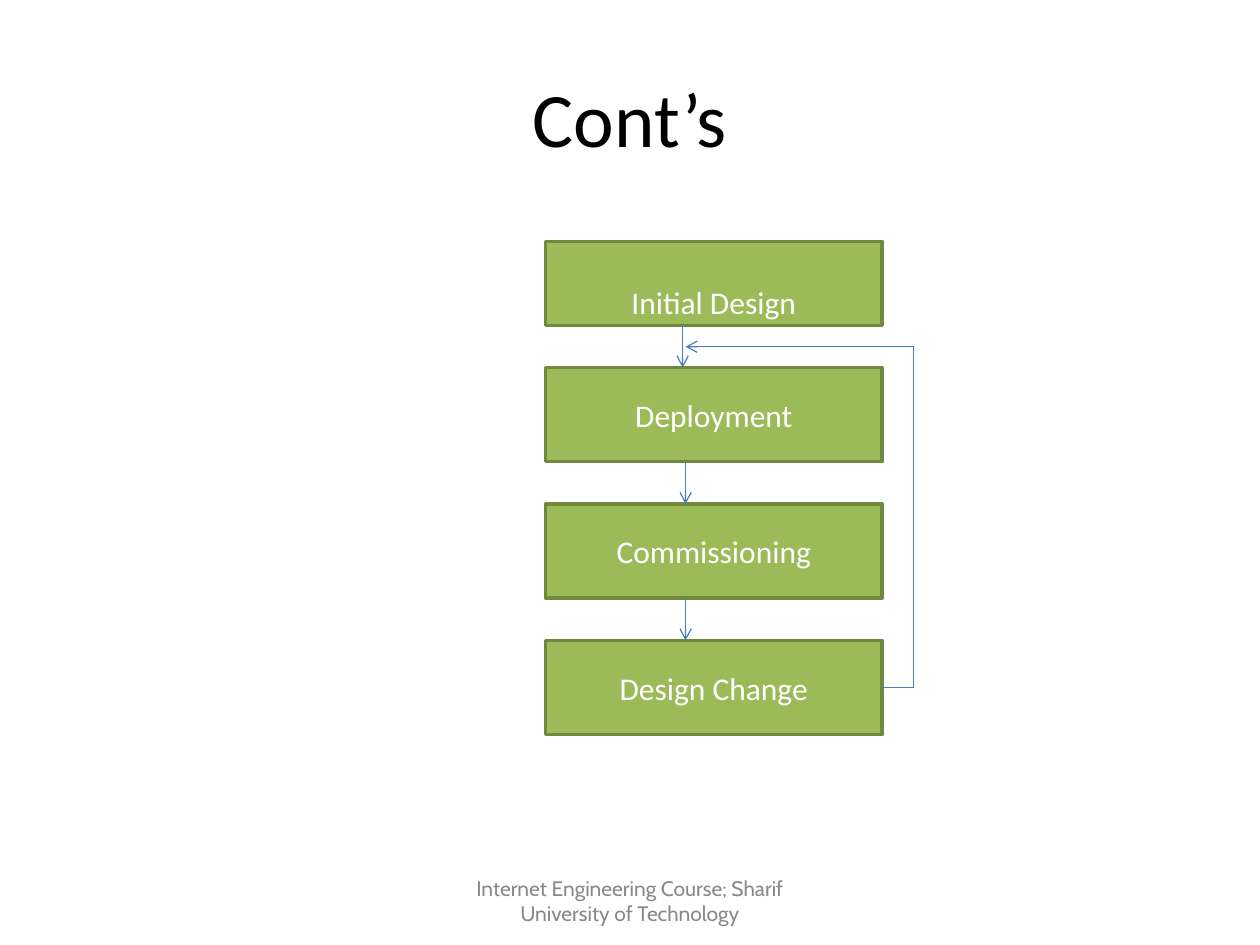
from dataclasses import dataclass

from lxml import etree
from pptx import Presentation
from pptx.dml.color import RGBColor
from pptx.enum.shapes import MSO_CONNECTOR, MSO_SHAPE
from pptx.enum.text import MSO_ANCHOR, PP_ALIGN
from pptx.oxml.ns import qn
from pptx.util import Cm, Pt

RECT = MSO_SHAPE.RECTANGLE
STRAIGHT = MSO_CONNECTOR.STRAIGHT
MIDDLE = MSO_ANCHOR.MIDDLE
CENTER = PP_ALIGN.CENTER
RIGHT_SIDE = 3


@dataclass(frozen=True)
class Theme:
    black: str = "000000"
    white: str = "FFFFFF"
    grey: str = "898989"
    green: str = "9BBB59"
    edge: str = "71893F"
    blue: str = "4A7EBB"
    body: str = "Calibri"
    small: str = "Cabin"
    title_size: float = 44
    step_size: float = 18
    foot_size: float = 12
    edge_width: float = 2
    line_width: float = 0.75


@dataclass(frozen=True)
class Label:
    text: str
    left: float
    top: float
    width: float
    height: float
    font: str
    size: float
    color: str


@dataclass(frozen=True)
class Step:
    text: str
    top: float
    height: float
    inset_top: float = 0.13
    inset_base: float = 0.13


@dataclass(frozen=True)
class Line:
    x1: float
    y1: float
    x2: float
    y2: float
    arrow: bool = True


THEME = Theme()
STEP_LEFT, STEP_WIDTH, STEP_HEIGHT = 11, 6.78, 1.9
FIRST_TOP, FIRST_HEIGHT = 4.87, 1.69
NEXT_TOP, PITCH = 7.41, 2.75
FLOW_X, ENTRY_X = 13.82, 13.76
LOOP_X, LOOP_Y = 18.42, 6.99

LABELS = [
    Label("Cont’s", 1.27, 0.76, 22.86, 3.18,
          THEME.body, THEME.title_size, THEME.black),
    Label("Internet Engineering Course; Sharif University of Technology",
          8.68, 17.65, 8.04, 1.02,
          THEME.small, THEME.foot_size, THEME.grey),
]

# The first step sets its text low in the box.
STEPS = [Step("Initial Design", FIRST_TOP, FIRST_HEIGHT, 0.74, 0)] + [
    Step(text, NEXT_TOP + i * PITCH, STEP_HEIGHT)
    for i, text in enumerate(["Deployment", "Commissioning", "Design Change"])
]


def set_text(shape, text: str, font: str, size: float, color: str) -> None:
    frame = shape.text_frame
    frame.text = text
    frame.word_wrap = True
    frame.vertical_anchor = MIDDLE
    for para in frame.paragraphs:
        para.alignment = CENTER
        for run in para.runs:
            run.font.name = font
            run.font.size = Pt(size)
            run.font.color.rgb = RGBColor.from_string(color)


def add_label(slide, label: Label) -> None:
    box = slide.shapes.add_textbox(Cm(label.left), Cm(label.top),
                                   Cm(label.width), Cm(label.height))
    set_text(box, label.text, label.font, label.size, label.color)


def add_step(slide, step: Step):
    box = slide.shapes.add_shape(RECT, Cm(STEP_LEFT), Cm(step.top),
                                 Cm(STEP_WIDTH), Cm(step.height))
    box.shadow.inherit = False
    box.fill.solid()
    box.fill.fore_color.rgb = RGBColor.from_string(THEME.green)
    box.line.color.rgb = RGBColor.from_string(THEME.edge)
    box.line.width = Pt(THEME.edge_width)
    set_text(box, step.text, THEME.body, THEME.step_size, THEME.white)
    box.text_frame.margin_top = Cm(step.inset_top)
    box.text_frame.margin_bottom = Cm(step.inset_base)
    return box


def add_line(slide, line: Line):
    link = slide.shapes.add_connector(STRAIGHT, Cm(line.x1), Cm(line.y1),
                                      Cm(line.x2), Cm(line.y2))
    link.line.color.rgb = RGBColor.from_string(THEME.blue)
    link.line.width = Pt(THEME.line_width)
    props = link.element.spPr
    if line.arrow:
        etree.SubElement(props.find(qn("a:ln")), qn("a:tailEnd"), type="arrow")
    etree.SubElement(props, qn("a:effectLst"))
    return link


def main() -> None:
    deck = Presentation()
    deck.slide_width, deck.slide_height = Cm(25.4), Cm(19.05)
    slide = deck.slides.add_slide(deck.slide_layouts[6])

    for label in LABELS:
        add_label(slide, label)
    boxes = [add_step(slide, step) for step in STEPS]

    for i, (step, after) in enumerate(zip(STEPS, STEPS[1:])):
        x = FLOW_X if i else ENTRY_X
        add_line(slide, Line(x, step.top + step.height, x, after.top))

    last = STEPS[-1]
    last_y = last.top + last.height / 2
    add_line(slide, Line(LOOP_X, LOOP_Y, FLOW_X, LOOP_Y))
    add_line(slide, Line(LOOP_X, LOOP_Y, LOOP_X, last_y, arrow=False))
    link = add_line(slide, Line(LOOP_X, last_y, STEP_LEFT + STEP_WIDTH,
                                last_y, arrow=False))
    link.end_connect(boxes[-1], RIGHT_SIDE)

    deck.save("out.pptx")


if __name__ == "__main__":
    main()
